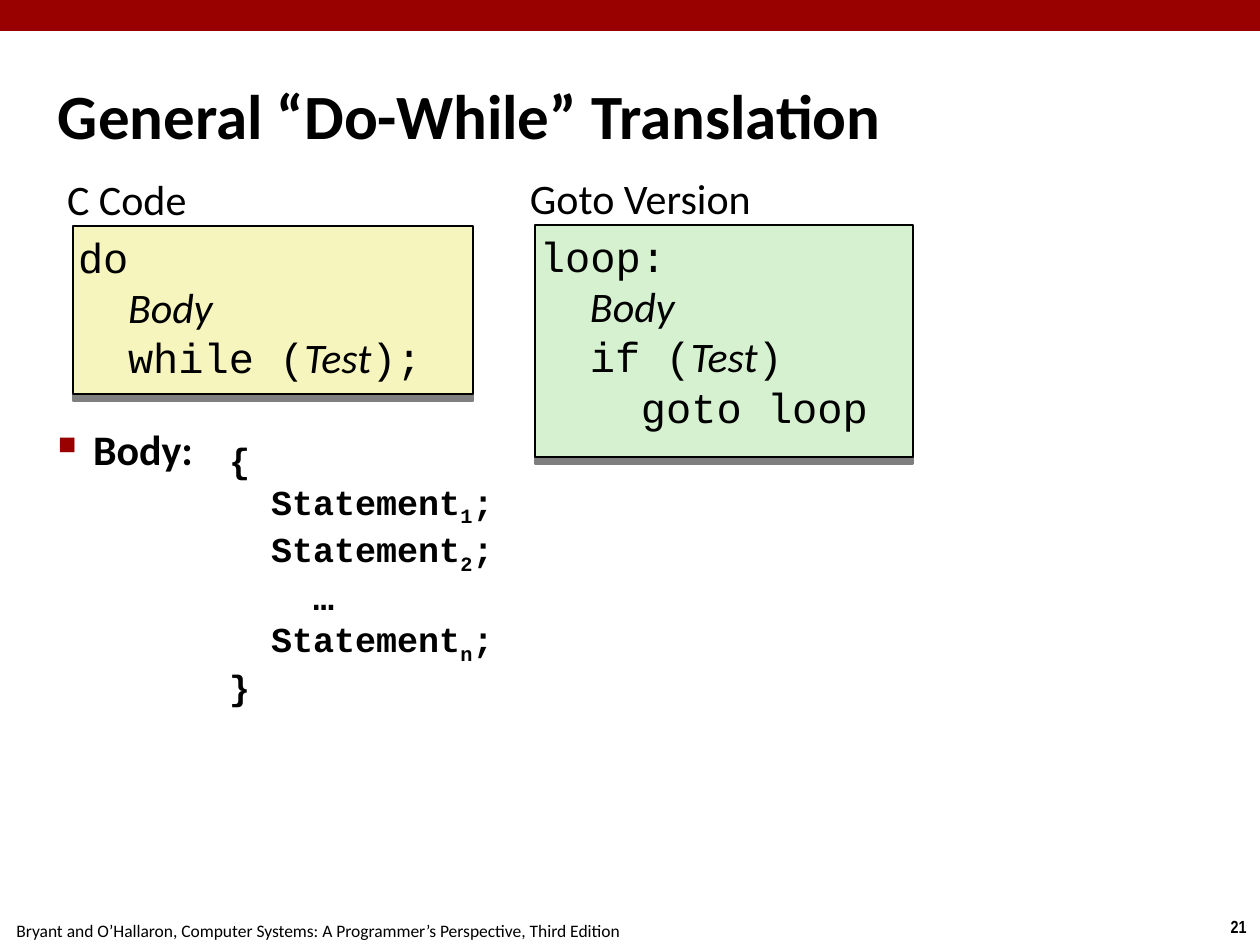
"""Build the slide that translates a general do-while loop into goto form."""
from dataclasses import dataclass
from enum import Enum

from lxml import etree
from pptx import Presentation, util as u
from pptx.dml.color import RGBColor
from pptx.enum import shapes, text
from pptx.oxml import parse_xml
from pptx.oxml.ns import nsdecls, qn

SCALE = 914400 / 126


@dataclass(frozen=True)
class Theme:
    ink: str = "000000"
    accent: str = "990000"
    c_fill: str = "F6F5BD"
    goto_fill: str = "D5F1CF"
    prose: str = "Calibri"
    code: str = "Courier New"
    number: str = "Arial Narrow"
    title_size: int = 36
    main_size: int = 24
    statement_size: int = 20
    footer_size: int = 10


THEME = Theme()


class Role(Enum):
    PLAIN = 0
    TERM = 1
    SUBSCRIPT = 2


@dataclass(frozen=True)
class Box:
    left: int
    top: int
    width: int
    height: int

    def emu(self) -> tuple:
        return tuple(px(n) for n in (self.left, self.top, self.width, self.height))


@dataclass(frozen=True)
class Style:
    font: str = THEME.prose
    size: int = THEME.main_size
    bold: bool = False
    before: float = 0
    centred: bool = False


@dataclass(frozen=True)
class Line:
    pieces: tuple
    indent: int = 0


@dataclass(frozen=True)
class Listing:
    heading: str
    heading_box: Box
    code_box: Box
    fill: str
    lines: tuple


def px(length: int) -> int:
    return round(length * SCALE)


def line(*pieces, indent: int = 0) -> Line:
    pairs = tuple((p, Role.PLAIN) if isinstance(p, str) else p for p in pieces)
    return Line(pairs, indent)


def statement(index: str) -> Line:
    return line("Statement", (index, Role.SUBSCRIPT), ";", indent=42)


BODY = ("Body", Role.TERM)
TEST = ("Test", Role.TERM)
LISTINGS = (
    Listing("C Code", Box(62, 169, 360, 62), Box(73, 226, 400, 168), THEME.c_fill,
            (line("do"), line(BODY, indent=50),
             line("while (", TEST, ");", indent=50))),
    Listing("Goto Version", Box(525, 168, 319, 62), Box(535, 225, 378, 232), THEME.goto_fill,
            (line("loop:"), line(BODY, indent=50),
             line("if (", TEST, ")", indent=50), line("goto loop", indent=101))),
)
STATEMENTS = (line("{"), statement("1"), statement("2"), line("…", indent=84),
              statement("n"), line("}"))
CODE = Style(font=THEME.code)


def write_lines(frame, lines: tuple, style: Style) -> None:
    for number, content in enumerate(lines):
        paragraph = frame.add_paragraph() if number else frame.paragraphs[0]
        paragraph.alignment = text.PP_ALIGN.CENTER if style.centred else text.PP_ALIGN.LEFT
        paragraph.space_before = u.Pt(style.before)
        if content.indent:
            paragraph._p.get_or_add_pPr().set("marL", str(px(content.indent)))
        font = paragraph.font
        font.name, font.size, font.bold = style.font, u.Pt(style.size), style.bold
        font.color.rgb = RGBColor.from_string(THEME.ink)
        for words, role in content.pieces:
            run = paragraph.add_run()
            run.text = words
            if role is Role.TERM:
                run.font.name, run.font.italic = THEME.prose, True
            elif role is Role.SUBSCRIPT:
                run.font._element.set("baseline", "-25000")


def set_margins(frame) -> None:
    frame.margin_left = frame.margin_right = px(5)
    frame.margin_top = frame.margin_bottom = px(5)


def add_text(slide, box: Box, lines: tuple, style: Style,
             anchor=text.MSO_ANCHOR.TOP):
    frame = slide.shapes.add_textbox(*box.emu()).text_frame
    frame.word_wrap = True
    frame.vertical_anchor = anchor
    set_margins(frame)
    write_lines(frame, lines, style)
    return frame


def add_footer(slide, box: Box, words: str, style: Style) -> None:
    frame = slide.shapes.add_textbox(*box.emu()).text_frame
    frame.word_wrap = False
    frame.auto_size = text.MSO_AUTO_SIZE.SHAPE_TO_FIT_TEXT
    write_lines(frame, (line(words),), style)


def add_rectangle(slide, box: Box, fill: str):
    rectangle = slide.shapes.add_shape(shapes.MSO_SHAPE.RECTANGLE, *box.emu())
    rectangle.shadow.inherit = False
    rectangle.fill.solid()
    rectangle.fill.fore_color.rgb = RGBColor.from_string(fill)
    rectangle.line.fill.background()
    return rectangle


def add_listing(slide, listing: Listing) -> None:
    add_text(slide, listing.heading_box, (line(listing.heading),), Style(before=8.6))
    panel = add_rectangle(slide, listing.code_box, listing.fill)
    panel.line.color.rgb = RGBColor.from_string(THEME.ink)
    panel.line.width = u.Pt(1)
    panel._element.spPr.find(qn("a:effectLst")).append(parse_xml(
        f'<a:outerShdw {nsdecls("a")} blurRad="0" dist="{u.Pt(4)}" dir="5400000" '
        f'algn="ctr" rotWithShape="0"><a:srgbClr val="{THEME.ink}">'
        '<a:alpha val="50000"/></a:srgbClr></a:outerShdw>'))
    frame = panel.text_frame
    frame.word_wrap = True
    frame.vertical_anchor = text.MSO_ANCHOR.TOP
    set_margins(frame)
    write_lines(frame, listing.lines, CODE)


def add_bullet(paragraph) -> None:
    properties = paragraph._p.get_or_add_pPr()
    properties.set("marL", str(px(35)))
    properties.set("indent", str(px(-35)))
    colour = etree.Element(qn("a:buClr"))
    etree.SubElement(colour, qn("a:srgbClr"), val=THEME.accent)
    marks = (colour, etree.Element(qn("a:buSzPct"), val="60000"),
             etree.Element(qn("a:buChar"), char="■"))
    defaults = properties.find(qn("a:defRPr"))
    for mark in marks:
        defaults.addprevious(mark)


def main() -> None:
    deck = Presentation()
    deck.slide_width, deck.slide_height = px(1260), px(945)
    slide = deck.slides.add_slide(deck.slide_layouts[6])
    add_footer(slide, Box(1217, 910, 43, 34), "21",
               Style(THEME.number, THEME.footer_size, bold=True, centred=True))
    add_footer(slide, Box(-2, 914, 640, 34),
               "Bryant and O’Hallaron, Computer Systems: A Programmer’s Perspective, Third Edition",
               Style(size=THEME.footer_size, centred=True))
    add_rectangle(slide, Box(0, 0, 1261, 31), THEME.accent)
    for listing in LISTINGS:
        add_listing(slide, listing)
    add_text(slide, Box(53, 35, 1155, 158), (line("General “Do-While” Translation"),),
             Style(size=THEME.title_size, bold=True), text.MSO_ANCHOR.MIDDLE)
    body = add_text(slide, Box(53, 418, 1155, 523), (line("Body:"),),
                    Style(bold=True, before=6))
    add_bullet(body.paragraphs[0])
    add_text(slide, Box(224, 433, 306, 311), STATEMENTS,
             Style(THEME.code, THEME.statement_size, bold=True))
    deck.save("out.pptx")


if __name__ == "__main__":
    main()
